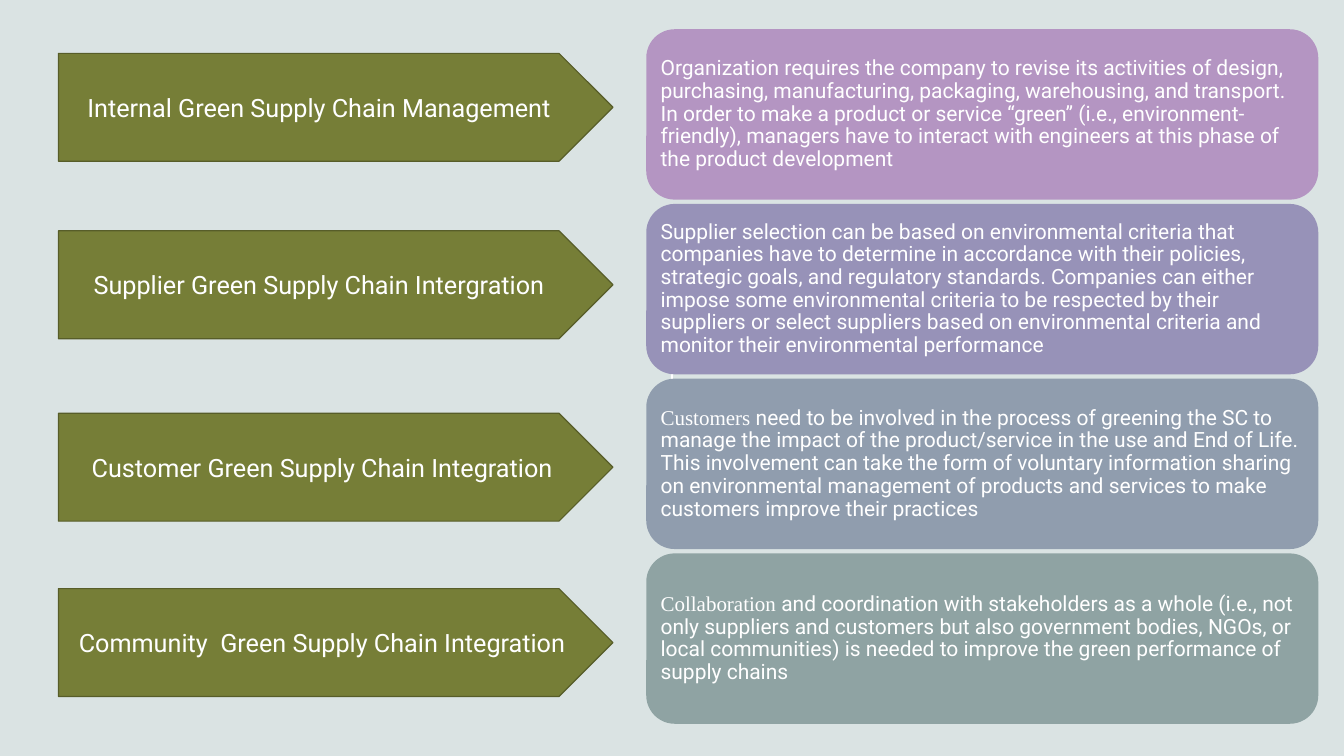
"""Build a slide pairing four green supply chain practices with their descriptions."""
from lxml import etree
from pptx import Presentation
from pptx import util as u
from pptx.dml.color import RGBColor
from pptx.enum import shapes, text
from pptx.oxml.ns import qn

THEME = {
    "background": "DAE3E3", "arrow": "767E37", "outline": "575D29", "text": "FFFFFF",
    "cards": ["B495C2", "9792B8", "909DAE", "8FA3A3"],
    "font": "Roboto", "lead_font": "Times New Roman",
    "label_size": 18, "description_size": 15,
}

PRACTICES = [
    {"label": "Internal Green Supply Chain Management ", "arrow_top": 0.53, "lead": "",
     "description": "Organization requires the company to revise its activities of design, "
                    "purchasing, manufacturing, packaging, warehousing, and transport. In order "
                    "to make a product or service “green” (i.e., environment- friendly), managers "
                    "have to interact with engineers at this phase of the product development"},
    {"label": "Supplier Green Supply Chain Intergration ", "arrow_top": 2.29, "lead": "",
     "description": "Supplier selection can be based on environmental criteria that companies "
                    "have to determine in accordance with their policies, strategic goals, and "
                    "regulatory standards. Companies can either impose some environmental "
                    "criteria to be respected by their suppliers or select suppliers based on "
                    "environmental criteria and monitor their environmental performance"},
    {"label": "Customer Green Supply Chain Integration", "arrow_top": 4.1, "lead": "Customers",
     "description": " need to be involved in the process of greening the SC to manage the impact "
                    "of the product/service in the use and End of Life. This involvement can take "
                    "the form of voluntary information sharing on environmental management of "
                    "products and services to make customers improve their practices "},
    {"label": "Community  Green Supply Chain Integration", "arrow_top": 5.84,
     "lead": "Collaboration",
     "description": " and coordination with stakeholders as a whole (i.e., not only suppliers "
                    "and customers but also government bodies, NGOs, or local communities) is "
                    "needed to improve the green performance of supply chains"},
]

SLIDE_W, SLIDE_H = 13.33, 7.5
ARROW_LEFT, ARROW_W, ARROW_H = 0.58, 5.5, 1.07
CARD_LEFT, CARD_TOP, CARD_W, CARD_H = 6.41, 0.29, SLIDE_W / 2, 1.69
CARD_PITCH = (5.49 - CARD_TOP) / (len(PRACTICES) - 1)
CARD_INSET = 0.06
LINK_X, LINK_TOP, LINK_BOTTOM = SLIDE_W / 2, 3.45, 4.05


def color(name):
    return RGBColor.from_string(name)


def add_block(slide, preset, box, fill):
    block = slide.shapes.add_shape(preset, *map(u.Inches, box))
    block.shadow.inherit = False
    block.fill.solid()
    block.fill.fore_color.rgb = color(fill)
    block.text_frame.word_wrap = True
    block.text_frame.vertical_anchor = text.MSO_ANCHOR.MIDDLE
    return block


def style_paragraph(paragraph, size, align):
    paragraph.alignment = align
    paragraph.font.size = u.Pt(size)
    paragraph.font.name = THEME["font"]
    paragraph.font.color.rgb = color(THEME["text"])


def add_arrow(slide, practice):
    box = (ARROW_LEFT, practice["arrow_top"], ARROW_W, ARROW_H)
    arrow = add_block(slide, shapes.MSO_SHAPE.PENTAGON, box, THEME["arrow"])
    arrow.line.color.rgb = color(THEME["outline"])
    arrow.line.width = u.Pt(0.85)
    label = arrow.text_frame.paragraphs[0]
    label.text = practice["label"]
    style_paragraph(label, THEME["label_size"], text.PP_ALIGN.CENTER)


def add_card(slide, row, practice):
    box = (CARD_LEFT, CARD_TOP + row * CARD_PITCH, CARD_W, CARD_H)
    card = add_block(slide, shapes.MSO_SHAPE.ROUNDED_RECTANGLE, box, THEME["cards"][row])
    card.line.fill.background()
    frame = card.text_frame
    frame.margin_left = frame.margin_right = u.Inches(CARD_INSET)
    frame.margin_top = frame.margin_bottom = u.Inches(CARD_INSET)
    description = frame.paragraphs[0]
    description.line_spacing = 0.9
    style_paragraph(description, THEME["description_size"], text.PP_ALIGN.LEFT)
    if practice["lead"]:
        lead = description.add_run()
        lead.text = practice["lead"]
        lead.font.name = THEME["lead_font"]
    description.add_run().text = practice["description"]


def add_link(slide):
    ends = (LINK_X, LINK_TOP, LINK_X, LINK_BOTTOM)
    link = slide.shapes.add_connector(shapes.MSO_CONNECTOR.STRAIGHT, *map(u.Inches, ends))
    link.line.color.rgb = color(THEME["text"])
    link.line.width = u.Pt(1)
    etree.SubElement(link._element.spPr, qn("a:effectLst"))


def main():
    deck = Presentation()
    deck.slide_width, deck.slide_height = u.Inches(SLIDE_W), u.Inches(SLIDE_H)
    slide = deck.slides.add_slide(deck.slide_layouts[6])
    slide.background.fill.solid()
    slide.background.fill.fore_color.rgb = color(THEME["background"])
    add_link(slide)
    for row, practice in enumerate(PRACTICES):
        add_card(slide, row, practice)
        add_arrow(slide, practice)
    deck.save("out.pptx")


if __name__ == "__main__":
    main()
